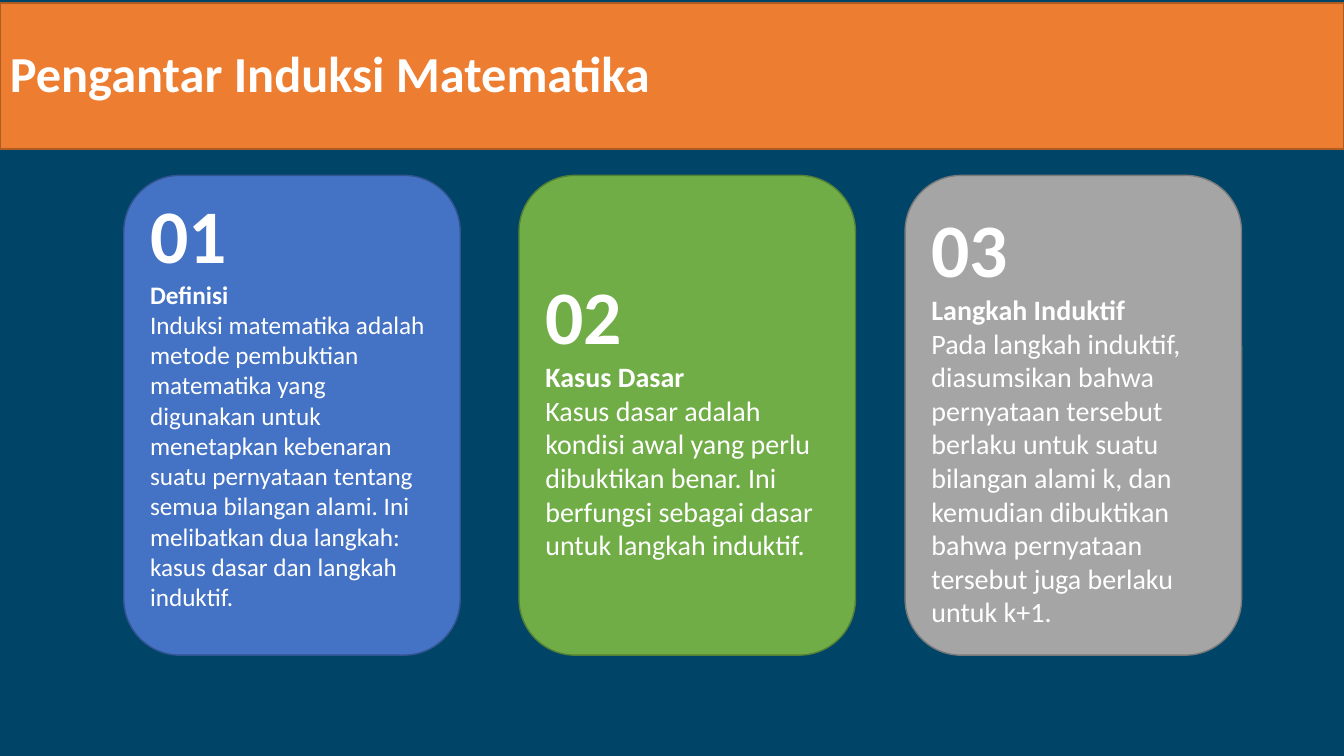
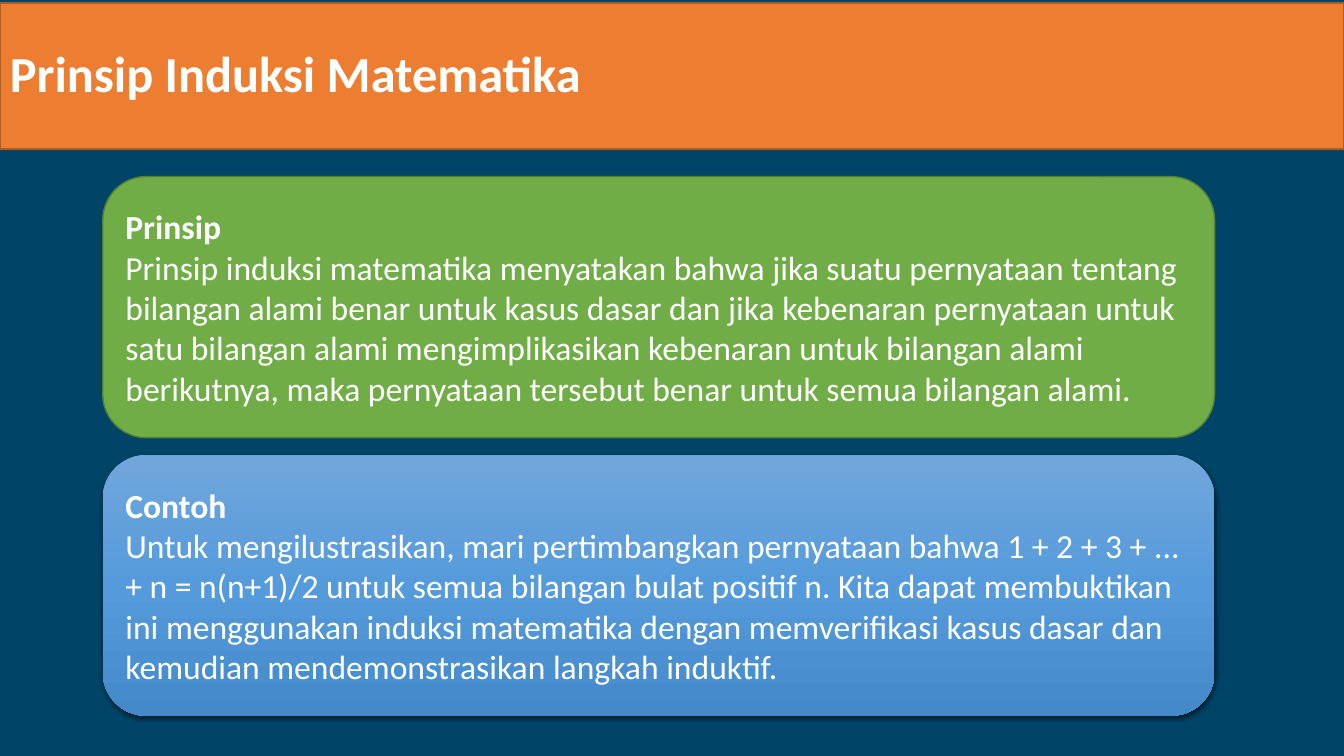
"""Builds two slides that introduce mathematical induction."""
from copy import deepcopy

from lxml.etree import SubElement
from pptx import Presentation
from pptx.dml.color import RGBColor
from pptx.enum.shapes import MSO_SHAPE
from pptx.enum.text import MSO_ANCHOR, PP_ALIGN
from pptx.oxml.ns import qn
from pptx.util import Cm, Pt

WIDTH, HEIGHT = 33.87, 19.05
FONT = "Calibri"
NAVY, WHITE = "004568", "FFFFFF"
ORANGE = ("ED7D31", "AF5C24")
BLUE = ("4472C4", "325491")
GREEN = ("70AD47", "538035")
GRAY = ("A5A5A5", "7A7A7A")
SKY = ((0, "71A6DB"), (0.5, "559BDB"), (1, "448ACA"))

STEPS = (
    (3.12, BLUE, 18, 0.9, "Definisi",
     "Induksi matematika adalah metode pembuktian matematika yang digunakan "
     "untuk menetapkan kebenaran suatu pernyataan tentang semua bilangan "
     "alami. Ini melibatkan dua langkah: kasus dasar dan langkah induktif."),
    (13.08, GREEN, 20, 0.13, "Kasus Dasar",
     "Kasus dasar adalah kondisi awal yang perlu dibuktikan benar. Ini "
     "berfungsi sebagai dasar untuk langkah induktif."),
    (22.81, GRAY, 20, 0.13, "Langkah Induktif",
     "Pada langkah induktif, diasumsikan bahwa pernyataan tersebut berlaku "
     "untuk suatu bilangan alami k, dan kemudian dibuktikan bahwa pernyataan "
     "tersebut juga berlaku untuk k+1."),
)
PANELS = (
    ("Prinsip",
     "Prinsip induksi matematika menyatakan bahwa jika suatu pernyataan "
     "tentang bilangan alami benar untuk kasus dasar dan jika kebenaran "
     "pernyataan untuk satu bilangan alami mengimplikasikan kebenaran untuk "
     "bilangan alami berikutnya, maka pernyataan tersebut benar untuk semua "
     "bilangan alami."),
    ("Contoh",
     "Untuk mengilustrasikan, mari pertimbangkan pernyataan bahwa 1 + 2 + 3 "
     "+ ... + n = n(n+1)/2 untuk semua bilangan bulat positif n. Kita dapat "
     "membuktikan ini menggunakan induksi matematika dengan memverifikasi "
     "kasus dasar dan kemudian mendemonstrasikan langkah induktif."),
)


def color(code):
    return RGBColor.from_string(code)


def paint(shape, pair):
    fill, line = pair
    shape.fill.solid()
    shape.fill.fore_color.rgb = color(fill)
    shape.line.color.rgb = color(line)
    shape.line.width = Pt(1)


def blend(shape, stops):
    fill = shape.fill
    fill.gradient()
    fill.gradient_angle = 270
    group = shape.element.spPr.find(".//" + qn("a:gsLst"))
    while len(group) < len(stops):
        group.append(deepcopy(group[0]))
    for stop, (place, code) in zip(fill.gradient_stops, stops):
        stop.position = place
        stop.color.rgb = color(code)
    shape.line.fill.background()


def shade(shape):
    effect = shape.element.spPr.find(qn("a:effectLst"))
    outer = SubElement(effect, qn("a:outerShdw"), blurRad=str(Pt(4.5)),
                       dist=str(Pt(1.5)), dir="5400000", algn="ctr",
                       rotWithShape="0")
    black = SubElement(outer, qn("a:srgbClr"), val="000000")
    SubElement(black, qn("a:alpha"), val="63000")


def write(shape, lines):
    frame = shape.text_frame
    frame.word_wrap = True
    frame.vertical_anchor = MSO_ANCHOR.MIDDLE
    for index, (text, size, bold) in enumerate(lines):
        para = frame.add_paragraph() if index else frame.paragraphs[0]
        para.text = text
        para.alignment = PP_ALIGN.LEFT
        font = para.font
        font.name, font.size, font.bold = FONT, Pt(size), bold
        font.color.rgb = color(WHITE)


def block(slide, kind, area, lines):
    shape = slide.shapes.add_shape(kind, *map(Cm, area))
    shape.shadow.inherit = False
    write(shape, lines)
    return shape


def start(deck, title):
    slide = deck.slides.add_slide(deck.slide_layouts[6])
    slide.background.fill.solid()
    slide.background.fill.fore_color.rgb = color(NAVY)
    band = block(slide, MSO_SHAPE.RECTANGLE, (0, 0.08, WIDTH, 3.68),
                 [(title, 36, True)])
    band.text_frame.paragraphs[0].line_spacing = 0.9
    paint(band, ORANGE)
    return slide


def intro(deck):
    slide = start(deck, "Pengantar Induksi Matematika")
    for count, (left, pair, size, base, head, body) in enumerate(STEPS, 1):
        card = block(slide, MSO_SHAPE.ROUNDED_RECTANGLE,
                     (left, 4.42, 8.48, 12.09),
                     [(f"{count:02}", 54, True), (head, size, True),
                      (body, size, False)])
        card.text_frame.margin_bottom = Cm(base)
        paint(card, pair)


def rule(deck):
    slide = start(deck, "Prinsip Induksi Matematika")
    top, high, gap = 4.45, 6.58, 0.43
    panels = [
        block(slide, MSO_SHAPE.ROUNDED_RECTANGLE,
              (2.59, top + row * (high + gap), 28.02, high),
              [(head, 24, True), (body, 24, False)])
        for row, (head, body) in enumerate(PANELS)
    ]
    paint(panels[0], GREEN)
    blend(panels[1], SKY)
    shade(panels[1])


def main():
    deck = Presentation()
    deck.slide_width, deck.slide_height = Cm(WIDTH), Cm(HEIGHT)
    intro(deck)
    rule(deck)
    deck.save("out.pptx")


if __name__ == "__main__":
    main()
